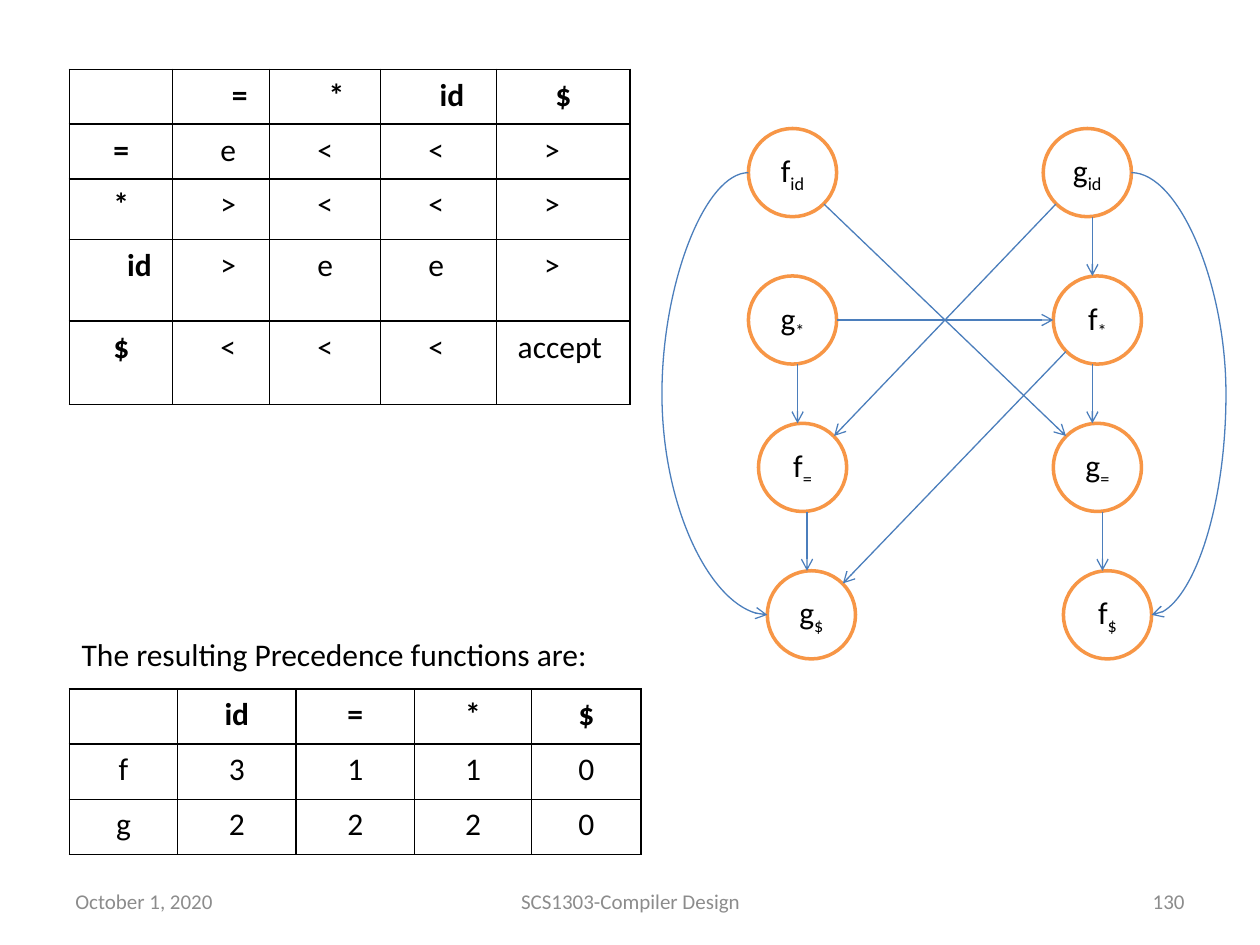
from lxml import etree
from pptx import Presentation
from pptx.dml.color import RGBColor
from pptx.enum import shapes, text
from pptx.oxml.ns import qn
from pptx.util import Emu, Inches, Pt

COLORS = {"ink": "000000", "paper": "FFFFFF", "footer": "8C8C8C",
          "ring": "F79646", "arrow": "4B7EBC"}

deck = Presentation()
deck.slide_width, deck.slide_height = Inches(10), Inches(7.5)
slide = deck.slides.add_slide(deck.slide_layouts[6])


def sq(*counts):
    """Lengths in squares of a grid 100 columns wide and 75 rows high."""
    return [Emu(round(count * deck.slide_width / 100)) for count in counts]


def write(paragraph, words, size=18, color="ink", bold=False, align=None, baseline=0):
    run = paragraph.add_run()
    run.text = words
    run.font.name, run.font.size, run.font.bold = "Calibri", Pt(size), bold
    run.font.color.rgb = RGBColor.from_string(COLORS[color])
    if align is not None:
        paragraph.alignment = align
    if baseline:
        run.font._element.set("baseline", str(baseline))


# Footer and the caption of the lower table
LEFT, CENTER, RIGHT = text.PP_ALIGN.LEFT, text.PP_ALIGN.CENTER, text.PP_ALIGN.RIGHT
for words, box, size, color, align, anchor in [
    ("October 1, 2020", (5, 69.5, 23.3, 4), 12, "footer", LEFT, text.MSO_ANCHOR.MIDDLE),
    ("SCS1303-Compiler Design", (34.2, 69.5, 31.7, 4), 12, "footer", CENTER, text.MSO_ANCHOR.MIDDLE),
    ("130", (71.7, 69.5, 23.3, 4), 12, "footer", RIGHT, text.MSO_ANCHOR.MIDDLE),
    ("The resulting Precedence functions are:", (5.5, 49.9, 42.7, 4), 18, "ink", LEFT, text.MSO_ANCHOR.TOP),
]:
    frame = slide.shapes.add_textbox(*sq(*box)).text_frame
    frame.word_wrap = size == 12
    frame.vertical_anchor = anchor
    write(frame.paragraphs[0], words, size, color, align=align)

# Graph nodes: two columns, four evenly spaced rows
NODE, TOP, STEP = 7, 10.2, 11.7
node_levels = [
    [("f", "id", 59.4), ("g", "id", 82.8)],
    [("g", "*", 59.4), ("f", "*", 83.6)],
    [("f", "=", 60.2), ("g", "=", 83.6)],
    [("g", "$", 60.9), ("f", "$", 84.4)],
]
nodes = {}
for level, pair in enumerate(node_levels):
    for function, symbol, left in pair:
        node = slide.shapes.add_shape(shapes.MSO_SHAPE.OVAL,
                                      *sq(left, TOP + level * STEP, NODE, NODE))
        node.shadow.inherit = False
        node.fill.solid()
        node.fill.fore_color.rgb = RGBColor.from_string(COLORS["paper"])
        node.line.color.rgb = RGBColor.from_string(COLORS["ring"])
        node.line.width = Pt(2)
        frame = node.text_frame
        frame.margin_left = frame.margin_right = 0
        frame.vertical_anchor = text.MSO_ANCHOR.MIDDLE
        write(frame.paragraphs[0], function, align=CENTER)
        write(frame.paragraphs[0], symbol, align=CENTER, baseline=-25000)
        nodes[function + symbol] = node

# Graph edges: (start, end), and for curves the bend, the joined nodes and their site
STRAIGHT, CURVE = shapes.MSO_CONNECTOR.STRAIGHT, shapes.MSO_CONNECTOR.CURVE
drops = [(63.3, 1), (64.05, 2), (86.7, 0), (86.7, 1), (87.5, 2)]
edges = [((x, TOP + level * STEP + NODE, x, TOP + (level + 1) * STEP), None)
         for x, level in drops]
edges += [
    ((83.8, 16.2, 66.2, 34.6), None),
    ((84.6, 27.9, 66.9, 46.3), None),
    ((65.4, 16.2, 84.6, 34.6), None),
    ((66.4, 25.4, 83.6, 25.4), None),
    ((89.8, 13.7, 91.4, 48.8), (469700, "gid", "f$", 6)),
    ((59.4, 13.7, 60.9, 48.8), (-457900, "fid", "g$", 2)),
]
for ends, curve in edges:
    edge = slide.shapes.add_connector(CURVE if curve else STRAIGHT, *sq(*ends))
    edge.line.color.rgb = RGBColor.from_string(COLORS["arrow"])
    edge.line.width = Pt(0.75)
    properties = edge._element.spPr
    etree.SubElement(properties.find(qn("a:ln")), qn("a:tailEnd"), type="arrow")
    etree.SubElement(properties, qn("a:effectLst"))
    if curve:
        bend, start, end, site = curve
        guides = properties.find(qn("a:prstGeom")).find(qn("a:avLst"))
        etree.SubElement(guides, qn("a:gd"), name="adj1", fmla=f"val {bend}")
        joints = edge._element.find(".//" + qn("p:cNvCxnSpPr"))
        for tag, name in (("a:stCxn", start), ("a:endCxn", end)):
            etree.SubElement(joints, qn(tag), id=str(nodes[name].shape_id), idx=str(site))

# Tables: the precedence relations (indented) and the functions (centred)
relations = ["", "=", "*", "id", "$"], ["=", "e", "<", "<", ">"], \
    ["*", ">", "<", "<", ">"], ["id", ">", "e", "e", ">"], ["$", "<", "<", "<", "accept"]
functions = ["", "id", "=", "*", "$"], ["f", "3", "1", "1", "0"], ["g", "2", "2", "2", "0"]
for rows, top, widths, heights, indented in [
    (relations, 5.5, (8.2, 7.7, 8.8, 9.2, 10.6), (4.35, 4.35, 4.8, 6.5, 6.6), True),
    (functions, 54.7, (8.6, 9.4, 9.4, 9.3, 8.7), (4.37, 4.37, 4.37), False),
]:
    grid = slide.shapes.add_table(len(rows), len(widths),
                                  *sq(5.5, top, sum(widths), sum(heights))).table
    grid.first_row = grid.horz_banding = False
    for column, width in zip(grid.columns, sq(*widths)):
        column.width = width
    for row, height in zip(grid.rows, sq(*heights)):
        row.height = height
    for r, row in enumerate(rows):
        for c, entry in enumerate(row):
            cell = grid.cell(r, c)
            cell.fill.background()
            borders = cell._tc.get_or_add_tcPr()
            for place, side in enumerate(("a:lnL", "a:lnR", "a:lnT", "a:lnB")):
                border = etree.Element(qn(side), w=str(Pt(1)))
                ink = etree.SubElement(border, qn("a:solidFill"))
                etree.SubElement(ink, qn("a:srgbClr"), val=COLORS["ink"])
                borders.insert(place, border)
            if not entry:
                continue
            line = cell.text_frame.paragraphs[0]
            if indented:
                cell.margin_left, cell.margin_right, cell.margin_top, cell.margin_bottom = \
                    sq(0.7, 0.7, 0.1, 0)
                line.line_spacing = 1.15
                indent = 4 if r == 0 else 2.8 if c == 0 else 3.1
                indent = {"accept": 1, "id": max(indent, 3.9)}.get(entry, indent)
                layout = line._p.get_or_add_pPr()
                layout.set("marL", str(sq(indent)[0]))
                layout.set("indent", "0")
            write(line, entry, bold=r == 0 or (indented and c == 0),
                  align=LEFT if indented else CENTER)

deck.save("out.pptx")
